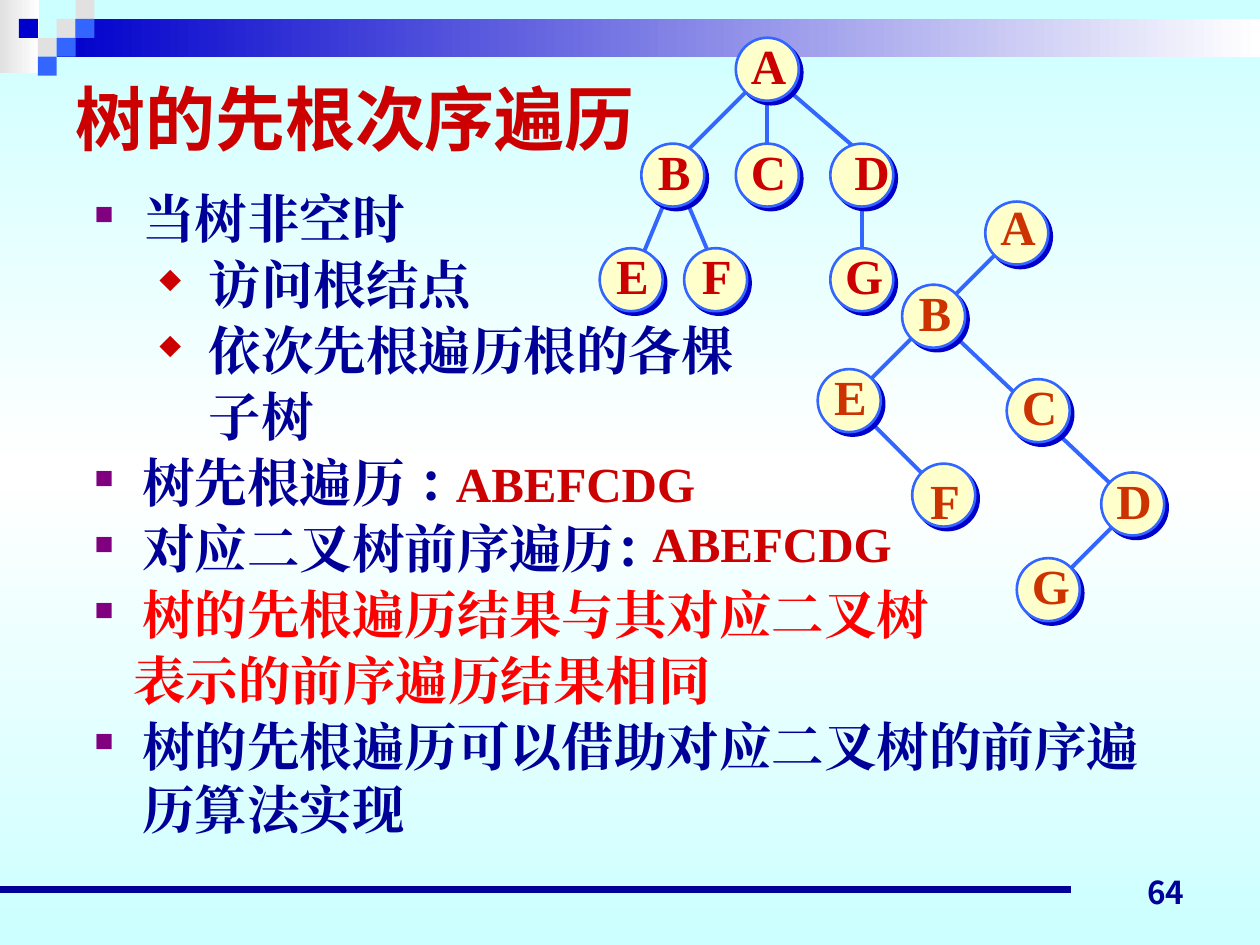
import lxml.etree
import pptx
import pptx.dml.color
import pptx.enum.shapes
import pptx.enum.text
import pptx.oxml.ns
import pptx.util

Inches = pptx.util.Inches
Pt = pptx.util.Pt
RGBColor = pptx.dml.color.RGBColor
Shape = pptx.enum.shapes.MSO_SHAPE
Align = pptx.enum.text.PP_ALIGN
Anchor = pptx.enum.text.MSO_ANCHOR
qn = pptx.oxml.ns.qn

NAVY = RGBColor(0x00, 0x00, 0x99)
DEEP_BLUE = RGBColor(0x00, 0x00, 0xCC)
BLUE = RGBColor(0x33, 0x66, 0xFF)
GREY = RGBColor(0xE1, 0xE1, 0xE1)
WHITE = RGBColor(0xFF, 0xFF, 0xFF)
CYAN = RGBColor(0xCC, 0xFF, 0xFF)
CREAM = RGBColor(0xFF, 0xFF, 0xCC)
CRIMSON = RGBColor(0xCC, 0x00, 0x00)
RUST = RGBColor(0xCC, 0x33, 0x00)
RED = RGBColor(0xFF, 0x00, 0x00)
PURPLE = RGBColor(0x80, 0x00, 0x80)

SERIF = "Times New Roman"
NODE_SIZE = 0.5

SQUARE = {"char": "n", "color": PURPLE}
DIAMOND = {"char": "u", "color": CRIMSON}
BODY = [
    ("当树非空时", NAVY, SQUARE, 0.38, -0.38),
    ("访问根结点", NAVY, DIAMOND, 0.91, -0.41),
    ("依次先根遍历根的各棵", NAVY, DIAMOND, 0.91, -0.41),
    ("子树", NAVY, None, 0.91, 0),
    ("树先根遍历 ：", NAVY, SQUARE, 0.38, -0.38),
    ("对应二叉树前序遍历：", NAVY, SQUARE, 0.38, -0.38),
    ("树的先根遍历结果与其对应二叉树", RED, SQUARE, 0.38, -0.38),
    ("表示的前序遍历结果相同", RED, None, 0.31, 0),
    ("树的先根遍历可以借助对应二叉树的前序遍历算法实现", NAVY, SQUARE, 0.38, -0.38),
]

GENERAL_TREE = {
    "box": (4.76, 0.3),
    "color": CRIMSON,
    "edges": [
        (2.08, 1.25, 2.08, 1.75), (0.67, 1.25, 0.92, 1.84),
        (0.5, 1.34, 0.33, 1.75), (1.5, 0.42, 2.08, 0.92),
        (1.33, 0.5, 1.33, 0.92), (1.17, 0.42, 0.67, 0.92),
    ],
    "nodes": {
        "A": (1.08, 0), "B": (0.33, 0.84), "C": (1.08, 0.84), "D": (1.83, 0.84),
        "E": (0, 1.67), "F": (0.67, 1.67), "G": (1.83, 1.67),
    },
    "nudges": {"D": (0.07, 0)},
}
BINARY_TREE = {
    "box": (6.49, 1.6),
    "color": RUST,
    "edges": [
        (0.33, 1.66, 0.83, 2.16), (2.42, 2.5, 1.92, 3),
        (1.5, 0.33, 0.33, 1.5), (1.08, 1.06, 2.42, 2.33),
    ],
    "nodes": {
        "A": (1.33, 0), "B": (0.67, 0.66), "C": (1.5, 1.41), "D": (2.25, 2.15),
        "E": (0, 1.33), "F": (0.75, 2.08), "G": (1.58, 2.83),
    },
    "nudges": {"A": (0, -0.02), "F": (0, 0.07)},
}


def apply(target, values):
    for name, value in values.items():
        setattr(target, name, value)


def add_gradient(fill, element, angle, colors):
    fill.gradient()
    fill.gradient_angle = angle
    stops = next(element.iter(qn("a:gsLst")))
    for stop in list(stops):
        stops.remove(stop)
    for index, color in enumerate(colors):
        position = str(100000 * index // (len(colors) - 1))
        stop = lxml.etree.SubElement(stops, qn("a:gs"), pos=position)
        lxml.etree.SubElement(stop, qn("a:srgbClr"), val=str(color))


def add_rectangle(shapes, box, colors):
    rectangle = shapes.add_shape(Shape.RECTANGLE, *map(Inches, box))
    rectangle.shadow.inherit = False
    rectangle.line.fill.background()
    if len(colors) > 1:
        add_gradient(rectangle.fill, rectangle._element, 0, colors)
    else:
        rectangle.fill.solid()
        rectangle.fill.fore_color.rgb = colors[0]


def add_line(shapes, ends, color, width):
    line = shapes.add_connector(
        pptx.enum.shapes.MSO_CONNECTOR.STRAIGHT, *map(Inches, ends))
    line.line.color.rgb = color
    line.line.width = Pt(width)
    lxml.etree.SubElement(line._element.spPr, qn("a:effectLst"))


def add_span(para, text, font, size, color):
    span = para.add_run()
    span.text = text
    apply(span.font, {"name": font, "size": Pt(size), "bold": True})
    span.font.color.rgb = color
    lxml.etree.SubElement(span._r.get_or_add_rPr(), qn("a:ea"), typeface=font)


def add_text(shapes, box, text, font, size, color, align=Align.LEFT,
             anchor=Anchor.TOP, wrap=True):
    frame = shapes.add_textbox(*map(Inches, box)).text_frame
    apply(frame, {"word_wrap": wrap, "vertical_anchor": anchor})
    para = frame.paragraphs[0]
    para.alignment = align
    add_span(para, text, font, size, color)


def add_bullet(para, bullet, margin, indent):
    properties = para._p.get_or_add_pPr()
    properties.set("marL", str(Inches(margin)))
    properties.set("indent", str(Inches(indent)))
    if bullet is None:
        lxml.etree.SubElement(properties, qn("a:buNone"))
        return
    color = lxml.etree.SubElement(properties, qn("a:buClr"))
    lxml.etree.SubElement(color, qn("a:srgbClr"), val=str(bullet["color"]))
    lxml.etree.SubElement(properties, qn("a:buSzPct"), val="50000")
    lxml.etree.SubElement(properties, qn("a:buFont"), typeface="Wingdings")
    lxml.etree.SubElement(properties, qn("a:buChar"), char=bullet["char"])


def add_header(page, left, top):
    shapes = page.shapes.add_group_shape().shapes
    add_rectangle(shapes, (left, top, 0.31, 0.58), (GREY, WHITE))
    add_rectangle(shapes, (left + 0.45, top + 0.15, 9.55, 0.3), (DEEP_BLUE, WHITE))
    tiles = [(3, 1, GREY), (4, 0, GREY), (4, 1, BLUE), (2, 2, GREY),
             (1, 1, DEEP_BLUE), (3, 2, BLUE), (2, 3, BLUE)]
    for column, row, color in tiles:
        box = (left + column * 0.15, top + row * 0.15, 0.15, 0.15)
        add_rectangle(shapes, box, (color,))


def add_footer(page, left, top):
    add_line(page.shapes, (left, top + 0.28, left + 8.5, top + 0.28), NAVY, 4.5)
    add_text(page.shapes, (left + 7.17, top, 2.33, 0.5), "64", "Noto Sans CJK JP",
             18, NAVY, Align.RIGHT, Anchor.BOTTOM)


def add_body(page, box):
    frame = page.shapes.add_textbox(*map(Inches, box)).text_frame
    frame.word_wrap = True
    for index, (text, color, bullet, margin, indent) in enumerate(BODY):
        para = frame.add_paragraph() if index else frame.paragraphs[0]
        add_bullet(para, bullet, margin, indent)
        para.space_before = Pt(1.7 if index else 0)
        add_span(para, text, SERIF, 30, color)


def add_node(shapes, left, top):
    node = shapes.add_shape(
        Shape.OVAL, *map(Inches, (left, top, NODE_SIZE, NODE_SIZE)))
    node.fill.solid()
    node.fill.fore_color.rgb = CREAM
    node.line.color.rgb = BLUE
    node.line.width = Pt(1.5)
    node.shadow.inherit = False
    effects = node._element.spPr.find(qn("a:effectLst"))
    shadow = lxml.etree.SubElement(effects, qn("a:outerShdw"), blurRad="0",
                                   dist=str(Pt(2.8)), dir="2700000",
                                   algn="ctr", rotWithShape="0")
    lxml.etree.SubElement(shadow, qn("a:srgbClr"), val=str(DEEP_BLUE))


def add_tree(page, tree):
    left, top = tree["box"]
    shapes = page.shapes.add_group_shape().shapes
    for x1, y1, x2, y2 in tree["edges"]:
        add_line(shapes, (left + x1, top + y1, left + x2, top + y2), BLUE, 2.25)
    for x, y in tree["nodes"].values():
        add_node(shapes, left + x, top + y)
    for letter, (x, y) in tree["nodes"].items():
        shift, drop = tree["nudges"].get(letter, (0, 0))
        box = (left + x + 0.02 + shift, top + y - 0.07 + drop, 0.48, 0.57)
        add_text(shapes, box, letter, SERIF, 28, tree["color"],
                 Align.CENTER, Anchor.MIDDLE, False)


def main():
    deck = pptx.Presentation()
    apply(deck, {"slide_width": Inches(10), "slide_height": Inches(7.5)})
    page = deck.slides.add_slide(deck.slide_layouts[6])
    add_gradient(page.background.fill, page._element, 90, (CYAN, WHITE, CYAN))
    add_header(page, 0, 0)
    add_footer(page, 0, 6.78)
    add_tree(page, BINARY_TREE)
    add_text(page.shapes, (0.5, 0.44, 9, 0.98), "树的先根次序遍历", "Arial",
             40, CRIMSON, anchor=Anchor.MIDDLE)
    add_body(page, (0.65, 1.43, 8.8, 5.31))
    add_tree(page, GENERAL_TREE)
    for left, top in ((3.52, 3.55), (5.08, 4.03)):
        add_text(page.shapes, (left, top, 2.12, 0.57), "ABEFCDG", SERIF, 28,
                 CRIMSON, wrap=False)
    deck.save("out.pptx")


if __name__ == "__main__":
    main()
